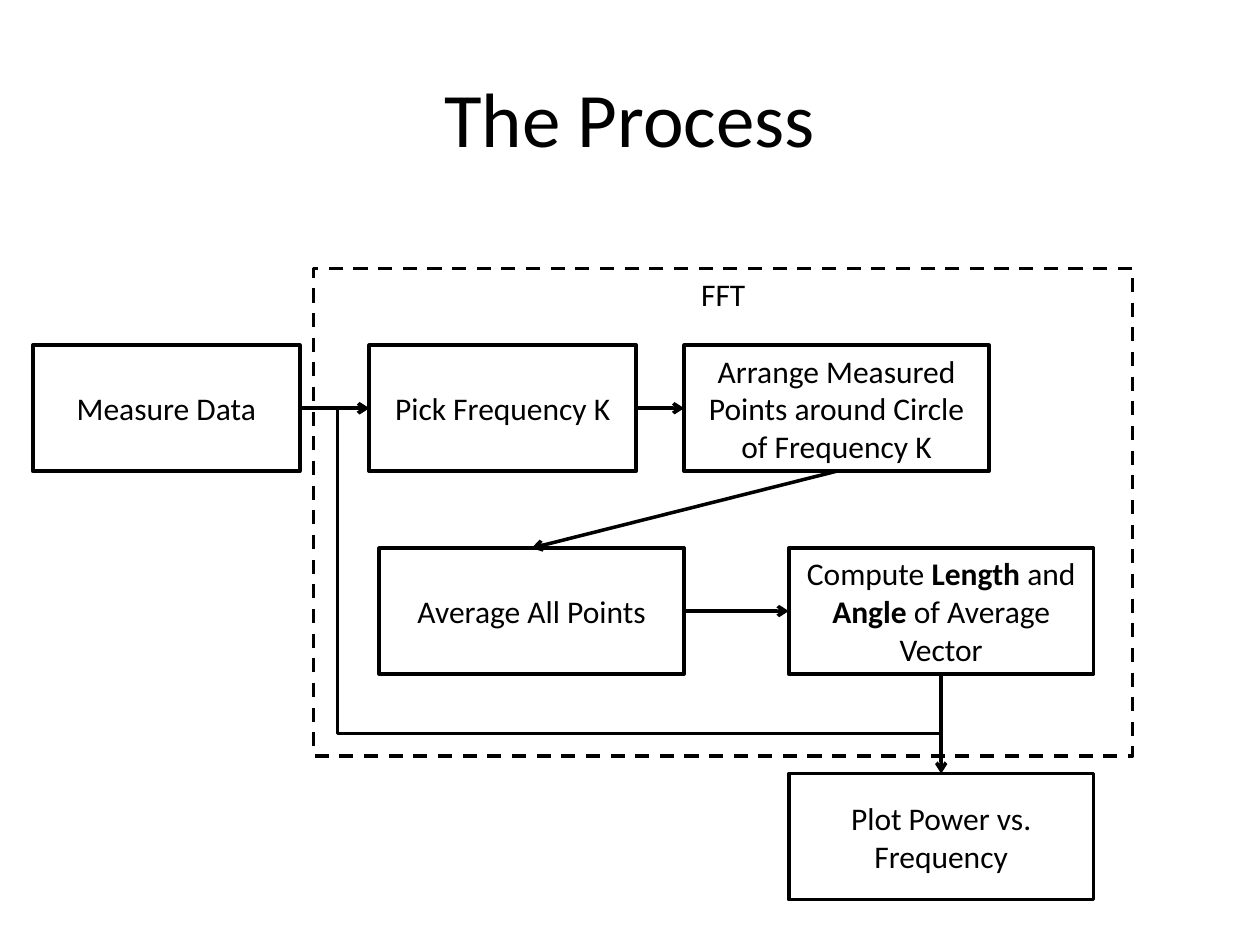
from dataclasses import dataclass

from lxml.etree import SubElement
from pptx import Presentation
from pptx.dml.color import RGBColor
from pptx.enum.dml import MSO_LINE
from pptx.enum.shapes import MSO_CONNECTOR, MSO_SHAPE
from pptx.enum.text import MSO_ANCHOR, PP_ALIGN
from pptx.oxml.ns import qn
from pptx.util import Inches, Pt

TOP, LEFT, BOTTOM, RIGHT = range(4)


@dataclass(frozen=True)
class Theme:
    """Colours, font, type sizes and line width of the slide."""

    ink: RGBColor = RGBColor(0, 0, 0)
    paper: RGBColor = RGBColor(255, 255, 255)
    font: str = "Calibri"
    title_size: int = 44
    body_size: int = 18
    line_width: int = 2


def set_text(text_frame, text, *, size, color, font, anchor=MSO_ANCHOR.MIDDLE):
    """Set one centred paragraph, with words between ** in bold."""
    text_frame.word_wrap = True
    text_frame.vertical_anchor = anchor
    paragraph = text_frame.paragraphs[0]
    paragraph.alignment = PP_ALIGN.CENTER
    for index, part in enumerate(text.split("**")):
        run = paragraph.add_run()
        run.text = part
        run.font.name = font
        run.font.size = Pt(size)
        run.font.color.rgb = color
        if index % 2:
            run.font.bold = True


class FlowSlide:
    """Hold the theme and the current slide, and draw flowchart elements."""

    def __init__(self, slide, theme):
        """Keep the slide and its theme."""
        self.slide = slide
        self.theme = theme

    def label(self, shape, text, size, **options):
        """Put themed text into a shape."""
        set_text(shape.text_frame, text, size=size, color=self.theme.ink,
                 font=self.theme.font, **options)

    def title(self, text):
        """Place and fill the title placeholder."""
        title = self.slide.shapes.title
        title.left, title.top = Inches(0.5), Inches(0.3)
        title.width, title.height = Inches(9), Inches(1.25)
        self.label(title, text, self.theme.title_size)

    def outline(self, line):
        """Give a line the theme colour and width."""
        line.color.rgb = self.theme.ink
        line.width = Pt(self.theme.line_width)

    def rectangle(self, text, left, top, width, height, **options):
        """Draw an unfilled rectangle with text."""
        shape = self.slide.shapes.add_shape(
            MSO_SHAPE.RECTANGLE, Inches(left), Inches(top), Inches(width), Inches(height))
        shape.shadow.inherit = False
        shape.fill.background()
        self.outline(shape.line)
        self.label(shape, text, self.theme.body_size, **options)
        return shape

    def step(self, text, left, top, width=2.42):
        """Draw a filled process step."""
        shape = self.rectangle(text, left, top, width, 1)
        shape.fill.solid()
        shape.fill.fore_color.rgb = self.theme.paper
        return shape

    def frame(self, text, left, top, width, height):
        """Draw a dashed frame with its label at the top."""
        shape = self.rectangle(text, left, top, width, height, anchor=MSO_ANCHOR.TOP)
        shape.line.dash_style = MSO_LINE.DASH

    def arrow(self, start, start_site, end, end_site, kind=MSO_CONNECTOR.STRAIGHT):
        """Join two steps with an arrow."""
        connector = self.slide.shapes.add_connector(kind, 0, 0, 0, 0)
        connector.begin_connect(start, start_site)
        connector.end_connect(end, end_site)
        self.outline(connector.line)
        properties = connector.element.spPr
        SubElement(properties.find(qn("a:ln")), qn("a:tailEnd"), type="arrow")
        SubElement(properties, qn("a:effectLst"))
        return connector

    def loop_arrow(self, start, end, drop, inset):
        """Lead an arrow from below one step back to the left of another."""
        connector = self.arrow(start, BOTTOM, end, LEFT, MSO_CONNECTOR.ELBOW)
        across = connector.begin_x - connector.end_x
        rise = connector.begin_y - connector.end_y
        center_x = (connector.begin_x + connector.end_x) // 2
        center_y = (connector.begin_y + connector.end_y) // 2
        connector.left, connector.top = center_x - rise // 2, center_y - across // 2
        connector.width, connector.height = rise, across
        properties = connector.element.spPr
        transform = properties.find(qn("a:xfrm"))
        transform.attrib.pop("flipV", None)
        transform.set("flipH", "1")
        transform.set("rot", str(90 * 60000))
        geometry = properties.find(qn("a:prstGeom"))
        geometry.set("prst", "bentConnector4")
        adjustments = geometry.find(qn("a:avLst"))
        ratios = {"adj1": -Inches(drop) / rise, "adj2": 1 + Inches(inset) / across}
        for name, ratio in ratios.items():
            SubElement(adjustments, qn("a:gd"), name=name,
                       fmla=f"val {round(ratio * 100000)}")


def main():
    """Build the process slide and save it."""
    presentation = Presentation()
    presentation.slide_width, presentation.slide_height = Inches(10), Inches(7.5)
    slide = presentation.slides.add_slide(presentation.slide_layouts[5])
    flow = FlowSlide(slide, Theme())
    flow.title("The Process")

    first_row, second_row, last_row = 2.74, 4.35, 6.14
    measure = flow.step("Measure Data", 0.26, first_row, 2.12)
    pick = flow.step("Pick Frequency K", 2.93, first_row, 2.12)
    arrange = flow.step("Arrange Measured Points around Circle of Frequency K",
                        5.43, first_row)
    average = flow.step("Average All Points", 3.01, second_row)
    compute = flow.step("Compute **Length** and **Angle** of Average Vector",
                        6.26, second_row)
    plot = flow.step("Plot Power vs. Frequency", 6.26, last_row)

    flow.arrow(measure, RIGHT, pick, LEFT)
    flow.arrow(pick, RIGHT, arrange, LEFT)
    flow.arrow(arrange, BOTTOM, average, TOP)
    flow.arrow(average, RIGHT, compute, LEFT)
    flow.arrow(compute, BOTTOM, plot, TOP)
    flow.loop_arrow(compute, pick, drop=0.47, inset=0.25)
    flow.frame("FFT", 2.49, 2.13, 6.5, 3.87)

    presentation.save("out.pptx")


if __name__ == "__main__":
    main()
